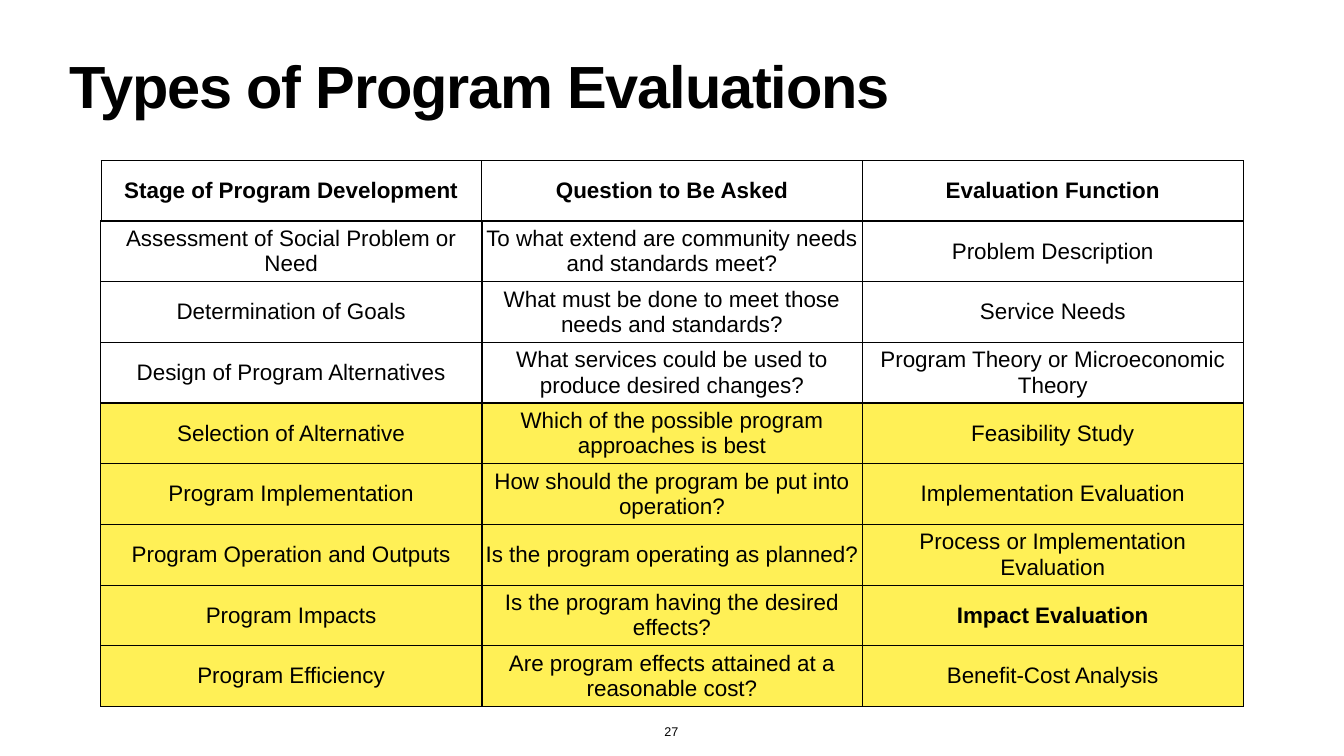
from lxml.etree import SubElement
from pptx import Presentation
from pptx.dml.color import RGBColor
from pptx.enum.text import MSO_ANCHOR as Anchor, MSO_AUTO_SIZE as AutoSize, PP_ALIGN as Align
from pptx.oxml.ns import qn
from pptx.util import Pt

INK, YELLOW = "000000", "FFF056"
INSETS = {f"margin_{side}": Pt(4.5) for side in ("left", "top", "right", "bottom")}
HEADER = ("Stage of Program Development", "Question to Be Asked", "Evaluation Function")
STAGES = [
    ("Assessment of Social Problem or Need",
     "To what extend are community needs and standards meet?", "Problem Description"),
    ("Determination of Goals",
     "What must be done to meet those needs and standards?", "Service Needs"),
    ("Design of Program Alternatives",
     "What services could be used to produce desired changes?",
     "Program Theory or Microeconomic Theory"),
    ("Selection of Alternative",
     "Which of the possible program approaches is best", "Feasibility Study"),
    ("Program Implementation",
     "How should the program be put into operation?", "Implementation Evaluation"),
    ("Program Operation and Outputs",
     "Is the program operating as planned?", "Process or Implementation Evaluation"),
    ("Program Impacts",
     "Is the program having the desired effects?", "Impact Evaluation"),
    ("Program Efficiency",
     "Are program effects attained at a reasonable cost?", "Benefit-Cost Analysis"),
]
FIRST_YELLOW = 4
KEY_FUNCTION = "Impact Evaluation"


def color(value):
    """Turn a hex string into a colour."""
    return RGBColor.from_string(value)


def apply(target, **values):
    """Set each named attribute on the target."""
    for name, value in values.items():
        setattr(target, name, value)


def write(frame, text, size, align, bold=False):
    """Write one formatted line into a text frame and return its paragraph and span."""
    para = frame.paragraphs[0]
    para.alignment = align
    span = para.add_run()
    span.text = text
    apply(span.font, name="Arial", size=Pt(size), bold=bold)
    span.font.color.rgb = color(INK)
    return para, span


def add_text(page, box, text, size, align, bold=False, **layout):
    """Place a text box with equal insets in the given box."""
    frame = page.shapes.add_textbox(*map(Pt, box)).text_frame
    apply(frame, **INSETS, **layout)
    return write(frame, text, size, align, bold)


def add_title(page, box):
    """Place the tightly spaced slide title."""
    para, span = add_text(page, box, "Types of Program Evaluations", 85, Align.LEFT,
                          bold=True, word_wrap=True, vertical_anchor=Anchor.TOP)
    para.line_spacing = 0.8
    span.font._element.set("spc", "-170")


def border_widths(row, column):
    """Give left, right, top and bottom line widths for a table cell."""
    body = row > 0
    left = 2 if body and column == 0 else 1
    right = (3, 1, 2)[column] if body else 1
    top = 2 if row in (1, FIRST_YELLOW) else 1
    bottom = 2 if row in (0, FIRST_YELLOW - 1, len(STAGES)) else 1
    return {"lnL": left, "lnR": right, "lnT": top, "lnB": bottom}


def draw_borders(cell, widths):
    """Add solid borders to a cell."""
    properties = cell._tc.get_or_add_tcPr()
    for tag, width in widths.items():
        line = SubElement(properties, qn(f"a:{tag}"), w=str(Pt(width)))
        fill = SubElement(line, qn("a:solidFill"))
        SubElement(fill, qn("a:srgbClr"), val=INK)


def add_stage_table(page, box):
    """Fill the box with an even grid of stages, questions and functions."""
    rows = [HEADER, *STAGES]
    table = page.shapes.add_table(len(rows), len(HEADER), *map(Pt, box)).table
    apply(table, first_row=False, horz_banding=False)
    for column in table.columns:
        column.width = Pt(box[2] / len(HEADER))
    for row, texts in enumerate(rows):
        table.rows[row].height = Pt(box[3] / len(rows))
        for column, text in enumerate(texts):
            cell = table.cell(row, column)
            apply(cell, vertical_anchor=Anchor.MIDDLE, **INSETS)
            write(cell.text_frame, text, 32, Align.CENTER,
                  bold=row == 0 or text == KEY_FUNCTION)
            draw_borders(cell, border_widths(row, column))
            if row >= FIRST_YELLOW:
                cell.fill.solid()
                cell.fill.fore_color.rgb = color(YELLOW)
            else:
                cell.fill.background()


def add_page_number(page, box):
    """Place the page number on one line at the foot of the slide."""
    add_text(page, box, "27", 18, Align.CENTER, word_wrap=False,
             vertical_anchor=Anchor.BOTTOM, auto_size=AutoSize.SHAPE_TO_FIT_TEXT)


def main():
    """Build and save the deck."""
    deck = Presentation()
    apply(deck, slide_width=Pt(1920), slide_height=Pt(1080))
    page = deck.slides.add_slide(deck.slide_layouts[6])
    add_title(page, (95, 85, 1730, 113))
    add_stage_table(page, (144, 229, 1632, 780.3))
    add_page_number(page, (943, 1030, 32, 30))
    deck.save("out.pptx")


main()
